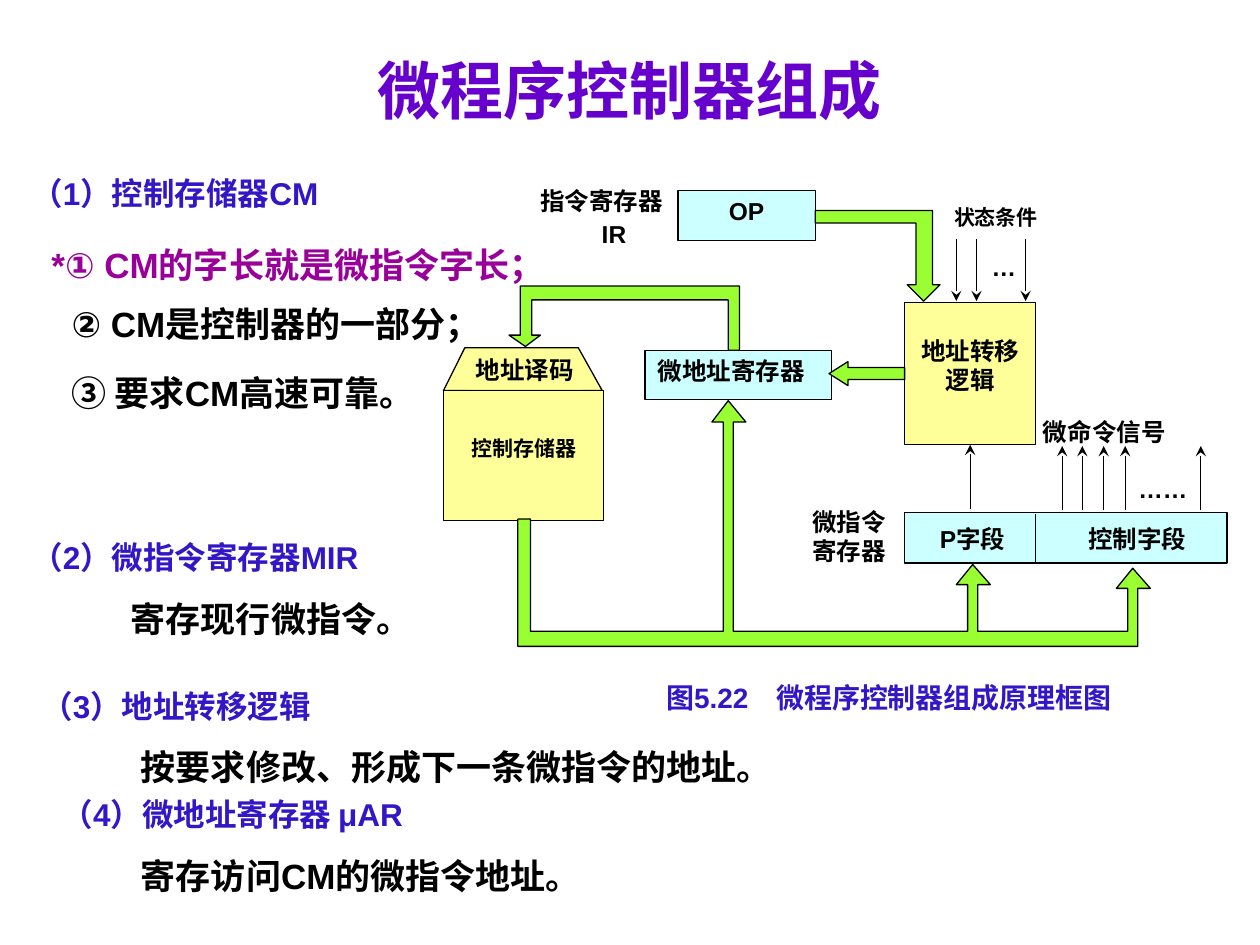
import pptx
import pptx.util
import pptx.dml.color
import pptx.enum.shapes
import pptx.enum.text
import pptx.oxml.ns
from lxml import etree

Inches = pptx.util.Inches
ALIGN = pptx.enum.text.PP_ALIGN
ANCHOR = pptx.enum.text.MSO_ANCHOR
SHAPE = pptx.enum.shapes.MSO_SHAPE
COLORS = {
    "ink": "000000",
    "title": "6600CC",
    "heading": "3316C6",
    "accent": "990099",
    "register": "CCFFFF",
    "memory": "FFFF99",
    "bus": "99FF33",
}


class Diagram:
    """Draws styled elements on the current slide."""

    font = "Arial"
    line_width = 0.75
    padding = (0.1, 0.05, 0.1, 0.05)
    flush = (0, 0, 0, 0)

    def __init__(self, page):
        self.page = page

    def color(self, name):
        return pptx.dml.color.RGBColor.from_string(COLORS[name])

    def paint(self, shape, fill, outlined=True):
        shape.shadow.inherit = False
        shape.fill.solid()
        shape.fill.fore_color.rgb = self.color(fill)
        if outlined:
            shape.line.color.rgb = self.color("ink")
            shape.line.width = pptx.util.Pt(self.line_width)
        else:
            shape.line.fill.background()

    def set_text(self, shape, text, size, color, align, insets, anchor=ANCHOR.TOP):
        frame = shape.text_frame
        frame.text = text
        frame.word_wrap = True
        frame.vertical_anchor = anchor
        left, top, right, bottom = (Inches(inset) for inset in insets)
        frame.margin_left, frame.margin_top = left, top
        frame.margin_right, frame.margin_bottom = right, bottom
        for para in frame.paragraphs:
            para.alignment = align
            for span in para.runs:
                span.font.name = self.font
                span.font.size = pptx.util.Pt(size)
                span.font.bold = True
                span.font.color.rgb = self.color(color)

    def block(self, bounds, fill, text="", align=ALIGN.CENTER, size=14, kind=SHAPE.RECTANGLE,
              outlined=True, insets=padding, anchor=ANCHOR.TOP):
        box = self.page.shapes.add_shape(kind, *map(Inches, bounds))
        self.paint(box, fill, outlined)
        if text:
            self.set_text(box, text, size, "ink", align, insets, anchor)
        return box

    def label(self, bounds, text, size=14, color="ink", align=ALIGN.CENTER, insets=flush):
        box = self.page.shapes.add_textbox(*map(Inches, bounds))
        self.set_text(box, text, size, color, align, insets)

    def outline(self, points, fill):
        corners = [(Inches(x), Inches(y)) for x, y in points]
        builder = self.page.shapes.build_freeform(*corners[0], scale=1.0)
        builder.add_line_segments(corners[1:], close=True)
        self.paint(builder.convert_to_shape(), fill)

    def line(self, x, start, end, arrow=True):
        link = self.page.shapes.add_connector(
            pptx.enum.shapes.MSO_CONNECTOR.STRAIGHT, Inches(x), Inches(start), Inches(x), Inches(end))
        link.line.color.rgb = self.color("ink")
        link.line.width = pptx.util.Pt(self.line_width)
        properties = link._element.spPr
        if arrow:
            etree.SubElement(properties.get_or_add_ln(), pptx.oxml.ns.qn("a:tailEnd"), type="stealth")
        etree.SubElement(properties, pptx.oxml.ns.qn("a:effectLst"))
        return link


def draw_blocks(diagram):
    diagram.block((7.18, 4.07, 2.56, 0.4), "register")
    logic = diagram.block((7.18, 2.4, 1.04, 1.13), "memory", "地址转移\n逻辑",
                          insets=(0.1, 0.02, 0.1, 0.15), anchor=ANCHOR.MIDDLE)
    diagram.block((5.38, 1.51, 1.09, 0.4), "register", "OP")
    diagram.block((5.12, 2.78, 1.48, 0.39), "register", "微地址寄存器", ALIGN.LEFT)
    diagram.outline([(3.69, 2.76), (4.59, 2.76), (4.78, 3.1), (3.52, 3.1)], "memory")
    diagram.block((3.52, 3.1, 1.27, 1.03), "memory")
    diagram.block((3.72, 2.82, 0.89, 0.27), "memory", "地址译码",
                  outlined=False, insets=diagram.flush)
    diagram.block((3.74, 3.46, 0.9, 0.32), "memory", "控制存储器", ALIGN.LEFT, 12,
                  outlined=False, insets=diagram.flush)
    arrow = diagram.block((6.58, 2.87, 0.6, 0.19), "bus", kind=SHAPE.LEFT_ARROW)
    arrow.adjustments[1] = 0.79
    return logic


def draw_signals(diagram, logic):
    diagram.line(8.22, 4.08, 4.47, arrow=False)
    for x in (8.43, 8.59, 8.76, 8.93, 9.53):
        diagram.line(x, 4.05, 3.54)
    for x in (7.59, 7.75, 8.14):
        diagram.line(x, 1.9, 2.39)
    diagram.line(7.7, 4.04, 3.53).end_connect(logic, 2)


def draw_labels(diagram):
    for bounds, text in (
        ((7.29, 4.16, 0.86, 0.28), "P字段"),
        ((8.48, 4.16, 1.09, 0.28), "控制字段"),
        ((8.91, 3.76, 0.64, 0.28), "……"),
        ((8.22, 3.31, 1.09, 0.27), "微命令信号"),
        ((4.23, 1.48, 1.09, 0.28), "指令寄存器"),
    ):
        diagram.label(bounds, text)
    diagram.label((4.58, 1.74, 0.39, 0.3), "IR", align=ALIGN.RIGHT)
    diagram.label((6.38, 4.02, 0.65, 0.55), "微指令\n寄存器", align=ALIGN.RIGHT)
    diagram.label((7.87, 2, 0.23, 0.28), "…", align=ALIGN.LEFT)
    diagram.label((7.5, 1.62, 0.81, 0.25), "状态条件", 12)
    diagram.label((5.09, 5.4, 3.93, 0.41), "图5.22　微程序控制器组成原理框图", 16, "heading")


def draw_buses(diagram):
    diagram.outline([(7.33, 2.39), (7.2, 2.26), (7.27, 2.26), (7.27, 1.77), (6.47, 1.77),
                     (6.47, 1.67), (7.4, 1.67), (7.4, 2.26), (7.46, 2.26)], "bus")
    diagram.outline([(5.78, 2.78), (5.78, 2.38), (4.22, 2.38), (4.22, 2.66), (4.29, 2.66),
                     (4.17, 2.75), (4.04, 2.66), (4.13, 2.66), (4.13, 2.27), (5.87, 2.27),
                     (5.87, 2.78)], "bus")
    trunk = [(4.11, 5.13), (4.11, 4.12), (4.21, 4.12), (4.21, 5.01)]
    for x, tip, base in ((5.78, 3.18, 3.35), (7.72, 4.48, 4.64), (8.99, 4.51, 4.67)):
        left, right = x - 0.04, x + 0.04
        trunk += [(left, 5.01), (left, base), (x - 0.13, base), (x, tip),
                  (x + 0.14, base), (right, base), (right, 5.01)]
    trunk[-1] = (trunk[-1][0], 5.13)
    diagram.outline(trunk, "bus")


def draw_notes(diagram):
    for left, top, width, text, size, color in (
        (0.15, 1.33, 9.85, "（1）控制存储器CM", 18, "heading"),
        (0.31, 1.88, 4.5, "*① CM的字长就是微指令字长；", 20, "accent"),
        (0.47, 2.35, 3.8, "② CM是控制器的一部分；", 20, "ink"),
        (0.47, 2.9, 3.55, "③ 要求CM高速可靠。", 20, "ink"),
        (0.15, 4.22, 7.53, "（2）微指令寄存器MIR", 18, "heading"),
        (0.94, 4.69, 9.06, "寄存现行微指令。", 20, "ink"),
        (0.23, 5.4, 9.77, "（3）地址转移逻辑", 18, "heading"),
        (1.02, 5.87, 5.4, "按要求修改、形成下一条微指令的地址。", 20, "ink"),
        (0.39, 6.26, 6.33, "（4）微地址寄存器 μAR", 18, "heading"),
        (1.02, 6.73, 5.86, "寄存访问CM的微指令地址。", 20, "ink"),
    ):
        diagram.label((left, top, width, 0.77), text, size, color, ALIGN.LEFT, diagram.padding)


def main():
    deck = pptx.Presentation()
    deck.slide_width, deck.slide_height = Inches(10), Inches(7.5)
    diagram = Diagram(deck.slides.add_slide(deck.slide_layouts[6]))
    logic = draw_blocks(diagram)
    draw_signals(diagram, logic)
    draw_labels(diagram)
    draw_buses(diagram)
    draw_notes(diagram)
    diagram.label((0.75, 0.36, 8.5, 0.8), "微程序控制器组成", 36, "title", insets=diagram.padding)
    deck.save("out.pptx")


if __name__ == "__main__":
    main()
